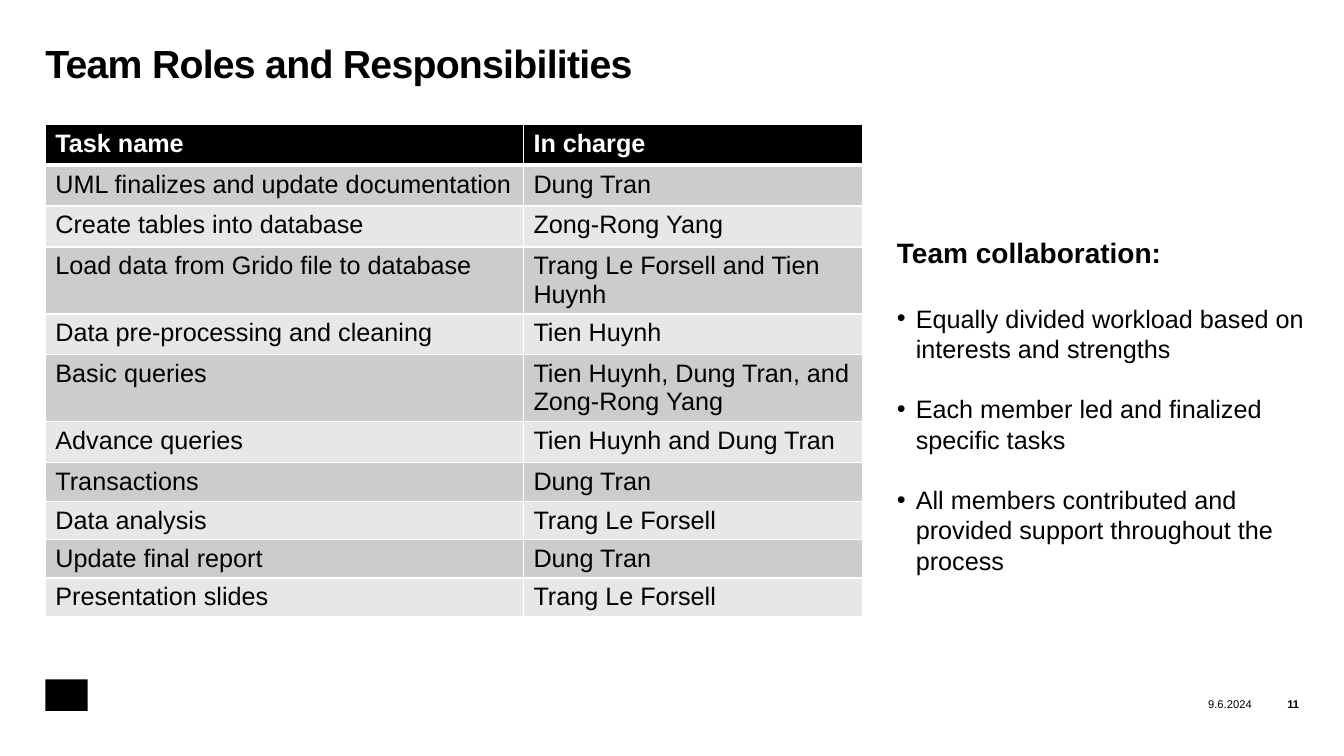
from dataclasses import dataclass

from lxml.etree import SubElement
from pptx import Presentation
from pptx.dml.color import RGBColor
from pptx.enum.shapes import MSO_SHAPE
from pptx.enum.text import MSO_ANCHOR, PP_ALIGN
from pptx.oxml.ns import qn
from pptx.util import Pt

TITLE = "Team Roles and Responsibilities"
HEADER = ("Task name", "In charge")
TASKS = [
    ("UML finalizes and update documentation", "Dung Tran"),
    ("Create tables into database", "Zong-Rong Yang"),
    ("Load data from Grido file to database", "Trang Le Forsell and Tien Huynh"),
    ("Data pre-processing and cleaning", "Tien Huynh"),
    ("Basic queries", "Tien Huynh, Dung Tran, and Zong-Rong Yang"),
    ("Advance queries", "Tien Huynh and Dung Tran"),
    ("Transactions", "Dung Tran"),
    ("Data analysis", "Trang Le Forsell"),
    ("Update final report", "Dung Tran"),
    ("Presentation slides", "Trang Le Forsell"),
]
COLLABORATION_HEADING = "Team collaboration:"
COLLABORATION = [
    "Equally divided workload based on interests and strengths",
    "Each member led and finalized specific tasks",
    "All members contributed and provided support throughout the process",
]
DATE = "9.6.2024"
PAGE_NUMBER = "11"


@dataclass(frozen=True)
class Theme:
    font: str = "Arial"
    black: str = "000000"
    white: str = "FFFFFF"
    bands: tuple = ("CCCCCC", "E7E7E7")
    title: float = 28
    heading: float = 20
    body: float = 18
    footer: float = 8
    leading: float = 1.2


THEME = Theme()
LEFT = 32.4
COLUMN_WIDTHS = (341.5, 242.5)
TALL_ROW, ROW, COMPACT_ROW = 47.5, 29.2, 27.5
CELL_BOTTOM_MARGIN = 1
LONGEST_LINE = 26
FIRST_COMPACT_ROW = 7
BULLET_INDENT = 13.5


def add_run(para, text, size, bold=False, color=THEME.black):
    span = para.add_run()
    span.text = text
    span.font.name = THEME.font
    span.font.size = Pt(size)
    span.font.bold = bold
    span.font.color.rgb = RGBColor.from_string(color)
    return span


def add_box(page, left, top, width, height, inset=(0, 0), anchor=MSO_ANCHOR.TOP):
    box = page.shapes.add_textbox(Pt(left), Pt(top), Pt(width), Pt(height))
    frame = box.text_frame
    frame.word_wrap = True
    frame.vertical_anchor = anchor
    frame.margin_left = frame.margin_right = Pt(inset[0])
    frame.margin_top = frame.margin_bottom = Pt(inset[1])
    return frame


def add_border(cell, side, width):
    line = SubElement(cell._tc.get_or_add_tcPr(), qn(f"a:ln{side}"), w=str(Pt(width)))
    SubElement(SubElement(line, qn("a:solidFill")), qn("a:srgbClr"), val=THEME.white)


def row_height(index, row):
    if index and len(row[1]) > LONGEST_LINE:
        return TALL_ROW
    return ROW if index < FIRST_COMPACT_ROW else COMPACT_ROW


def add_task_table(page):
    rows = [HEADER, *TASKS]
    heights = [row_height(index, row) for index, row in enumerate(rows)]
    table = page.shapes.add_table(
        len(rows), len(HEADER), Pt(LEFT), Pt(88.8),
        Pt(sum(COLUMN_WIDTHS)), Pt(sum(heights))).table
    for column, width in zip(table.columns, COLUMN_WIDTHS):
        column.width = Pt(width)
    for index, row in enumerate(rows):
        table.rows[index].height = Pt(heights[index])
        is_header = index == 0
        fill = THEME.black if is_header else THEME.bands[(index - 1) % 2]
        color = THEME.white if is_header else THEME.black
        for number, text in enumerate(row):
            cell = table.cell(index, number)
            cell.margin_bottom = Pt(CELL_BOTTOM_MARGIN)
            for side in "LRTB":
                thick = (is_header and side == "B") or (index == 1 and side == "T")
                add_border(cell, side, 3 if thick else 1)
            cell.fill.solid()
            cell.fill.fore_color.rgb = RGBColor.from_string(fill)
            add_run(cell.text_frame.paragraphs[0], text, THEME.body, is_header, color)


def add_bullet(para):
    properties = para._p.get_or_add_pPr()
    properties.set("marL", str(Pt(BULLET_INDENT)))
    properties.set("indent", str(-Pt(BULLET_INDENT)))
    SubElement(properties, qn("a:buFont"), typeface=THEME.font)
    SubElement(properties, qn("a:buChar"), char="•")


def add_collaboration(page):
    frame = add_box(page, 633.6, 164.9, 319.7, 252, inset=(7.2, 3.6))
    para = frame.paragraphs[0]
    para.line_spacing = Pt(THEME.heading * THEME.leading)
    add_run(para, COLLABORATION_HEADING, THEME.heading, bold=True)
    gap = THEME.heading * THEME.leading
    for text in COLLABORATION:
        para = frame.add_paragraph()
        para.line_spacing = Pt(THEME.body * THEME.leading)
        para.space_before = Pt(gap)
        add_bullet(para)
        add_run(para, text, THEME.body)
        gap = THEME.body * THEME.leading


def add_footer(page):
    badge = page.shapes.add_shape(
        MSO_SHAPE.RECTANGLE, Pt(LEFT), Pt(485.3), Pt(30.2), Pt(22.6))
    badge.shadow.inherit = False
    badge.fill.solid()
    badge.fill.fore_color.rgb = RGBColor.from_string(THEME.black)
    badge.line.fill.background()
    for text, left, width, bold in ((DATE, 803.5, 90.7, False),
                                    (PAGE_NUMBER, 894.2, 33.8, True)):
        frame = add_box(page, left, 496.8, width, 11.5, anchor=MSO_ANCHOR.MIDDLE)
        para = frame.paragraphs[0]
        para.alignment = PP_ALIGN.RIGHT
        add_run(para, text, THEME.footer, bold)


def main():
    deck = Presentation()
    deck.slide_width, deck.slide_height = Pt(960), Pt(540)
    page = deck.slides.add_slide(deck.slide_layouts[6])
    title = add_box(page, LEFT, 31.7, 895.7, 85).paragraphs[0]
    title.line_spacing = 0.9
    span = add_run(title, TITLE, THEME.title, bold=True)
    span.font._element.set("spc", "-50")
    add_task_table(page)
    add_collaboration(page)
    add_footer(page)
    deck.save("out.pptx")


if __name__ == "__main__":
    main()
